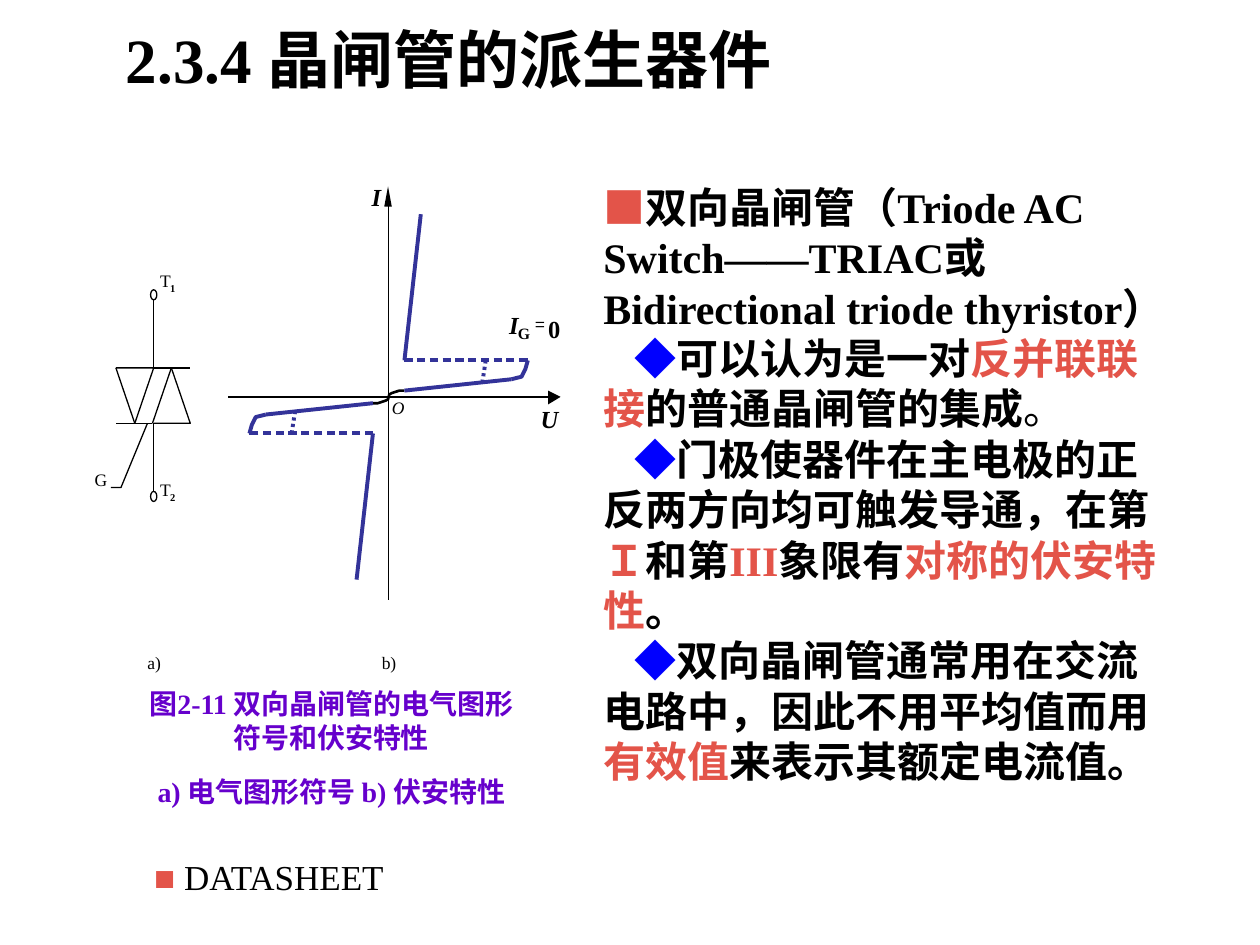
from dataclasses import dataclass

import pptx
import pptx.dml.color
import pptx.enum.shapes
import pptx.enum.text
import pptx.oxml.ns
import pptx.util
from lxml import etree

RGB = pptx.dml.color.RGBColor
BLACK = RGB(0x00, 0x00, 0x00)
INDIGO = RGB(0x33, 0x33, 0x99)
RED = RGB(0xE3, 0x54, 0x49)
BLUE = RGB(0x00, 0x00, 0xFF)
VIOLET = RGB(0x66, 0x00, 0xCC)
LATIN, CJK = "Times New Roman", "Noto Sans CJK SC"

# The slide is a grid of 100 columns by 75 rows
COLUMNS, ROWS = 100, 75
CELL = pptx.util.Inches(0.1)
ORIGIN = (30.85, 31.5)  # where the U and I axes cross

Point = tuple[float, float]
Run = tuple[str, RGB, bool]


@dataclass
class Stroke:
    points: list[Point]
    color: RGB = BLACK
    width: float = 0.75
    filled: bool = False


@dataclass
class Label:
    text: str
    left: float
    top: float
    width: float
    height: float
    size: int = 10
    bold: bool = False
    italic: bool = False
    font: str = LATIN


def cells(value: float) -> int:
    return round(value * CELL)


def remove_shadow(connector) -> None:
    etree.SubElement(connector._element.spPr, pptx.oxml.ns.qn("a:effectLst"))


def draw_stroke(slide, stroke: Stroke) -> None:
    """Draw two points as a connector, more as a freeform."""
    corners = [(cells(x), cells(y)) for x, y in stroke.points]
    if len(corners) == 2:
        line = slide.shapes.add_connector(
            pptx.enum.shapes.MSO_CONNECTOR.STRAIGHT, *corners[0], *corners[1])
        line.line.color.rgb = stroke.color
        line.line.width = pptx.util.Pt(stroke.width)
        remove_shadow(line)
        return
    builder = slide.shapes.build_freeform(*corners[0])
    builder.add_line_segments(corners[1:], close=stroke.filled)
    outline = builder.convert_to_shape()
    outline.shadow.inherit = False
    if stroke.filled:
        outline.fill.solid()
        outline.fill.fore_color.rgb = stroke.color
        outline.line.fill.background()
    else:
        outline.fill.background()
        outline.line.color.rgb = stroke.color
        outline.line.width = pptx.util.Pt(stroke.width)


def draw_terminal(slide, left: float, top: float) -> None:
    ring = slide.shapes.add_shape(pptx.enum.shapes.MSO_SHAPE.OVAL,
                                  cells(left), cells(top), cells(0.5), cells(0.8))
    ring.shadow.inherit = False
    ring.fill.background()
    ring.line.color.rgb = BLACK
    ring.line.width = pptx.util.Pt(0.75)


def add_text(slide, box: tuple, paragraphs: list[list[Run]], *, size: int,
             font: str = LATIN, italic: bool = False, centered: bool = False,
             middle: bool = False, wrap: bool = True, inset: bool = True,
             line_spacing: float = 1.0, indents: tuple = (), gaps: tuple = ()) -> None:
    """Indents (inches) and gaps before (points) are given per paragraph."""
    frame = slide.shapes.add_textbox(*map(cells, box)).text_frame
    frame.word_wrap = wrap
    if middle:
        frame.vertical_anchor = pptx.enum.text.MSO_ANCHOR.MIDDLE
    if not inset:
        frame.margin_left = frame.margin_right = 0
        frame.margin_top = frame.margin_bottom = 0
    align = pptx.enum.text.PP_ALIGN
    for index, runs in enumerate(paragraphs):
        paragraph = frame.add_paragraph() if index else frame.paragraphs[0]
        paragraph.alignment = align.CENTER if centered else align.LEFT
        paragraph.line_spacing = line_spacing
        if indents:
            paragraph._p.get_or_add_pPr().set(
                "indent", str(pptx.util.Inches(indents[index])))
        if gaps and gaps[index]:
            paragraph.space_before = pptx.util.Pt(gaps[index])
        for text, color, bold in runs:
            run = paragraph.add_run()
            run.text = text
            run.font.size = pptx.util.Pt(size)
            run.font.bold = bold
            run.font.italic = italic
            run.font.color.rgb = color
            run.font.name = font
            east_asian = etree.SubElement(run.font._element, pptx.oxml.ns.qn("a:ea"))
            east_asian.set("typeface", CJK)


def draw_label(slide, label: Label) -> None:
    add_text(slide, (label.left, label.top, label.width, label.height),
             [[(label.text, BLACK, label.bold)]], size=label.size, font=label.font,
             italic=label.italic, wrap=False, inset=False, line_spacing=0.9)


def opposite(stroke: Stroke) -> Stroke:
    """Turn a first-quadrant stroke half round the origin."""
    turned = [(2 * ORIGIN[0] - x, 2 * ORIGIN[1] - y) for x, y in stroke.points]
    return Stroke(turned, stroke.color, stroke.width)


AXES = [
    Stroke([(18.1, 31.5), (43.6, 31.5)]),
    Stroke([(43.5, 31), (44.5, 31.5), (43.5, 32.1)], filled=True),
    Stroke([(30.85, 47.6), (30.85, 16.3)]),
    Stroke([(30.5, 16.4), (30.8, 14.8), (31.1, 16.4)], filled=True),
]

# First-quadrant half of the characteristic
FIRST_QUADRANT = [
    *[Stroke([(32.1 + 1.01 * i, 28.6), (32.75 + 1.01 * i, 28.6)], INDIGO, 2.25)
      for i in range(10)],
    *[Stroke([(38.55 - 0.08 * i, 28.6 + 0.51 * i), (38.52 - 0.08 * i, 28.85 + 0.51 * i)],
             INDIGO, 2.25) for i in range(4)],
    Stroke([(32.1, 28.6), (33.4, 17)], INDIGO, 2.25),
    Stroke([ORIGIN, (30.9, 31.3), (31.1, 31.2), (31.4, 31.1), (31.7, 31), (32.1, 31)],
           BLACK, 1.5),
    Stroke([(32.1, 31), (40.6, 30.1)], INDIGO, 2.25),
    Stroke([(40.6, 30.1), (41, 30), (41.4, 29.9), (41.5, 29.7), (41.7, 29.3),
            (41.9, 28.6)], INDIGO, 2.25),
    Stroke([(41.7, 28.6), (41.9, 28.6)], INDIGO, 2.25),
]

# Circuit symbol: two antiparallel triangles, main leads and gate
SYMBOL = [
    Stroke([(12.2, 33.6), (15.1, 33.6), (13.6, 29.2)]),
    Stroke([(13.6, 29.2), (12.1, 33.6)]),
    Stroke([(9.2, 29.2), (12.2, 29.2), (10.7, 33.6)]),
    Stroke([(10.7, 33.6), (9.2, 29.2)]),
    Stroke([(12.1, 33.6), (9.2, 33.6)]),
    Stroke([(12.2, 29.2), (15.1, 29.2)]),
    Stroke([(12.2, 29.2), (12.2, 23.8)]),
    Stroke([(12.2, 33.6), (12.2, 39)]),
    Stroke([(11.7, 33.6), (9.6, 38.7), (8.8, 38.7)]),
]

LABELS = [
    Label("a)", 11.7, 51.9, 1.1, 1.5),
    Label("b)", 30.3, 51.9, 1.2, 1.5),
    Label("I", 29.5, 14.7, 0.8, 2.1, 14, True, True),
    Label("O", 31.1, 31.7, 1, 1.5, italic=True),
    Label("U", 42.9, 32.3, 1.4, 2.1, 14, True, True),
    Label("I", 40.4, 24.9, 0.8, 2.1, 14, True, True),
    Label("G", 41.1, 25.9, 1, 1.4, 9, True),
    Label("=", 42.5, 25.1, 0.8, 1.5, font=CJK),
    Label("0", 43.5, 25.2, 1, 2.1, 14, True),
    Label("G", 7.5, 37.4, 1, 1.5),
    Label("T", 12.7, 21.6, 0.9, 1.5),
    Label("1", 13.5, 22.5, 0.4, 0.9, 6, True),
    Label("T", 12.7, 38.2, 0.9, 1.5),
    Label("2", 13.5, 39.1, 0.4, 0.9, 6, True),
]

DESCRIPTION = [
    [("■", RED, True),
     ("双向晶闸管（Triode AC Switch——TRIAC或Bidirectional triode thyristor）", BLACK, True)],
    [("◆", BLUE, True), ("可以认为是一对", BLACK, True), ("反并联联接", RED, True),
     ("的普通晶闸管的集成", BLACK, True), ("。", BLACK, False)],
    [("◆", BLUE, True), ("门极使器件在主电极的正反两方向均可触发导通，在第", BLACK, True),
     ("Ｉ", RED, True), ("和第", BLACK, True), ("III", RED, True), ("象限有", BLACK, True),
     ("对称的伏安特性", RED, True), ("。", BLACK, True)],
    [("◆", BLUE, True), ("双向晶闸管通常用在交流电路中，因此不用平均值而用", BLACK, True),
     ("有效值", RED, True), ("来表示其额定电流值。", BLACK, True)],
]

CAPTION = ["图2-11 双向晶闸管的电气图形", "符号和伏安特性", "a) 电气图形符号 b) 伏安特性"]


def main() -> None:
    deck = pptx.Presentation()
    deck.slide_width, deck.slide_height = COLUMNS * CELL, ROWS * CELL
    slide = deck.slides.add_slide(deck.slide_layouts[6])

    # Title
    add_text(slide, (9, 3.3, 85.8, 2.6), [[("2.3.4 晶闸管的派生器件", BLACK, True)]],
             size=36, middle=True)

    # Figure
    third_quadrant = [opposite(stroke) for stroke in FIRST_QUADRANT]
    for stroke in AXES + FIRST_QUADRANT + third_quadrant + SYMBOL:
        draw_stroke(slide, stroke)
    for top in (23, 39):
        draw_terminal(slide, 11.95, top)
    for label in LABELS:
        draw_label(slide, label)

    # Description, caption and closing line
    add_text(slide, (46.9, 13.9, 47.2, 57), DESCRIPTION, size=24,
             indents=(0, 0.25, 0.25, 0.25))
    add_text(slide, (9, 54, 34.6, 11), [[(line, VIOLET, True)] for line in CAPTION],
             size=16, centered=True, gaps=(0, 0, 12))
    add_text(slide, (11, 67.4, 20.7, 4.4),
             [[("■ ", RED, True), ("DATASHEET", BLACK, False)]],
             size=20, centered=True, wrap=False)

    deck.save("out.pptx")


if __name__ == "__main__":
    main()
